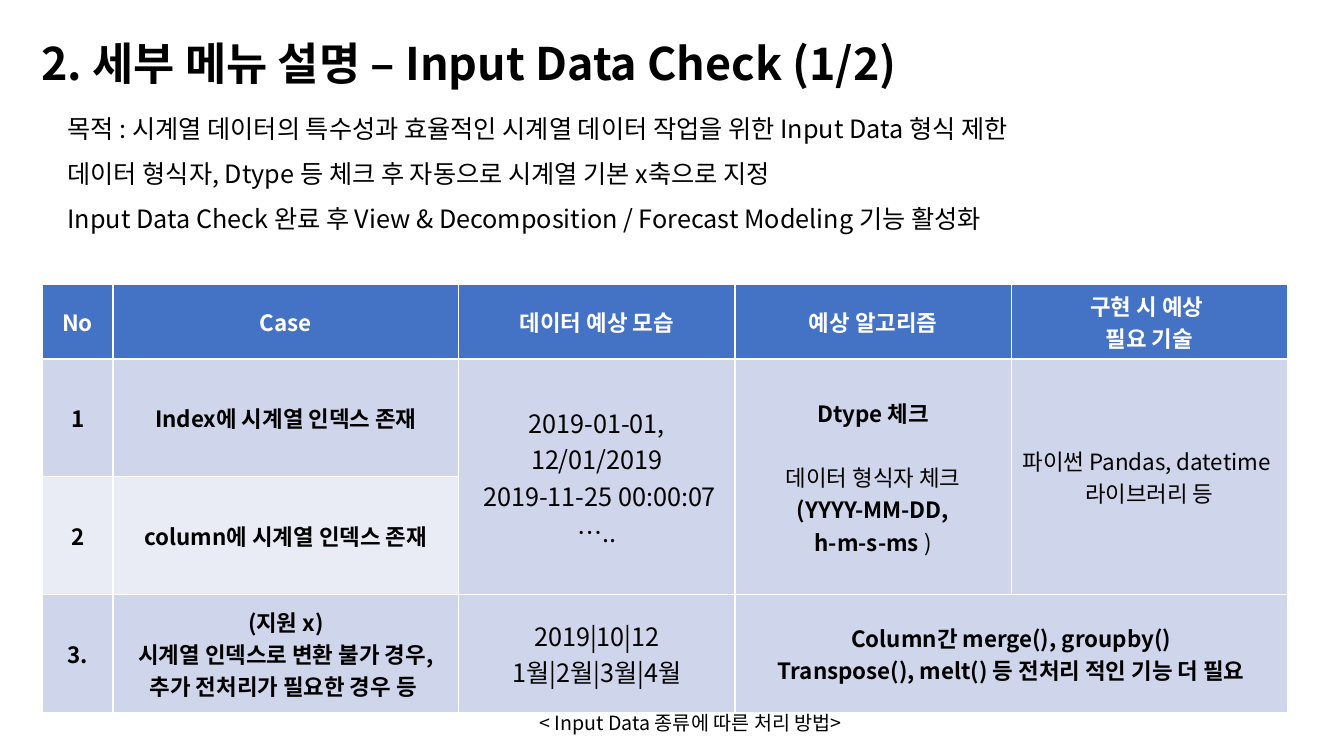
from collections import namedtuple

from lxml import etree
from pptx import Presentation
from pptx import util as u
from pptx.dml.color import RGBColor
from pptx.enum import text as t
from pptx.oxml import ns

PX = u.Inches(1) // 100
FONT = "Noto Sans CJK KR"
BLACK = RGBColor(0, 0, 0)
WHITE = RGBColor(255, 255, 255)
HEADER_BLUE = RGBColor(0x44, 0x72, 0xC4)
BAND_BLUE = RGBColor(0xCF, 0xD5, 0xEA)
BAND_PALE = RGBColor(0xE9, 0xEB, 0xF5)

Box = namedtuple("Box", "left top width height")
Cell = namedtuple("Cell", "lines size bold", defaults=(16, True))

TITLE = "2. 세부 메뉴 설명 – Input Data Check (1/2)"
PURPOSE = [
    "목적 : 시계열 데이터의 특수성과 효율적인 시계열 데이터 작업을 위한 Input Data 형식 제한",
    "데이터 형식자, Dtype 등 체크 후 자동으로 시계열 기본 x축으로 지정",
    "Input Data Check 완료 후 View & Decomposition / Forecast Modeling 기능 활성화",
]
CAPTION = "< Input Data 종류에 따른 처리 방법>"
COLUMNS = [70, 343, 274, 274, 274]
ROWS = [59, 117, 117, 117]
FILLS = [HEADER_BLUE, BAND_BLUE, BAND_PALE, BAND_BLUE]
MERGES = [((1, 2), (2, 2)), ((1, 3), (2, 3)), ((1, 4), (2, 4)), ((3, 3), (3, 4))]
CELLS = {
    (0, 0): Cell(["No"]),
    (0, 1): Cell(["Case"]),
    (0, 2): Cell(["데이터 예상 모습"]),
    (0, 3): Cell(["예상 알고리즘"]),
    (0, 4): Cell(["구현 시 예상 ", "필요 기술"]),
    (1, 0): Cell(["1"]),
    (1, 1): Cell(["Index에 시계열 인덱스 존재"]),
    (1, 2): Cell(["2019-01-01,", "12/01/2019", " 2019-11-25 00:00:07", "….."], 18, False),
    (1, 3): Cell(["Dtype 체크", [("데이터 형식자 체크", False)], "(YYYY-MM-DD,",
                  [("h-m-s-ms ", True), (")", False)]]),
    (1, 4): Cell(["파이썬 Pandas, datetime ", "라이브러리 등"], 16, False),
    (2, 0): Cell(["2"]),
    (2, 1): Cell(["column에 시계열 인덱스 존재"]),
    (3, 0): Cell(["3."]),
    (3, 1): Cell(["(지원 x)", "시계열 인덱스로 변환 불가 경우,", "추가 전처리가 필요한 경우 등 "]),
    (3, 2): Cell(["2019|10|12", "1월|2월|3월|4월"], 18, False),
    (3, 3): Cell(["Column간 merge(), groupby()", "Transpose(), melt() 등 전처리 적인 기능 더 필요"]),
}


def emu(box):
    """Turn a px box into EMU lengths."""
    return [length * PX for length in box]


def write(frame, lines, size, color=BLACK, bold=False, align=t.PP_ALIGN.LEFT):
    """Write each line as a paragraph of runs and return the paragraphs."""
    for index, line in enumerate(lines):
        para = frame.paragraphs[0] if index == 0 else frame.add_paragraph()
        para.alignment = align
        for words, weight in [(line, bold)] if isinstance(line, str) else line:
            span = para.add_run()
            span.text = words
            span.font.size = u.Pt(size)
            span.font.bold = weight
            span.font.color.rgb = color
            span.font.name = FONT
            east = etree.SubElement(span.font._element, ns.qn("a:ea"))
            east.set("typeface", FONT)
    return frame.paragraphs


def fill_placeholder(holder, box, lines, size, bold=False, before=0):
    """Move a placeholder to the box and fill it with unbulleted, spaced lines."""
    holder.left, holder.top, holder.width, holder.height = emu(box)
    frame = holder.text_frame
    frame.word_wrap = True
    frame.auto_size = t.MSO_AUTO_SIZE.NONE
    frame.vertical_anchor = t.MSO_ANCHOR.TOP
    for para in write(frame, lines, size, bold=bold):
        para.line_spacing = 1.5
        para.space_before = u.Pt(before)
        properties = para._p.get_or_add_pPr()
        properties.set("marL", "0")
        properties.set("indent", "0")
        etree.SubElement(properties, ns.qn("a:buNone"))


def add_case_table(page, box):
    """Build the table of input cases inside the box."""
    table = page.shapes.add_table(len(ROWS), len(COLUMNS), *emu(box)).table
    for column, width in zip(table.columns, COLUMNS):
        column.width = width * PX
    for row, height, color in zip(table.rows, ROWS, FILLS):
        row.height = height * PX
        for cell in row.cells:
            cell.fill.solid()
            cell.fill.fore_color.rgb = color
    for first, last in MERGES:
        table.cell(*first).merge(table.cell(*last))
    for place, content in CELLS.items():
        cell = table.cell(*place)
        cell.vertical_anchor = t.MSO_ANCHOR.MIDDLE
        write(cell.text_frame, content.lines, content.size,
              WHITE if place[0] == 0 else BLACK, content.bold, t.PP_ALIGN.CENTER)
    table.cell(1, 3).text_frame.paragraphs[1].space_before = u.Pt(23)


def add_caption(page, box):
    """Write the table caption in the box."""
    frame = page.shapes.add_textbox(*emu(box)).text_frame
    frame.word_wrap = True
    write(frame, [CAPTION], 14)


def main():
    """Build the slide and save the deck."""
    deck = Presentation()
    deck.slide_width, deck.slide_height = 1333 * PX, 750 * PX
    page = deck.slides.add_slide(deck.slide_layouts[1])
    fill_placeholder(page.shapes.title, Box(31, 4, 1245, 96), [TITLE], 32, True, 10)
    add_case_table(page, Box(42, 282, sum(COLUMNS), sum(ROWS)))
    fill_placeholder(page.placeholders[1], Box(57, 92, 1219, 141), PURPOSE, 18)
    add_caption(page, Box(525, 700, 450, 34))
    deck.save("out.pptx")


if __name__ == "__main__":
    main()
